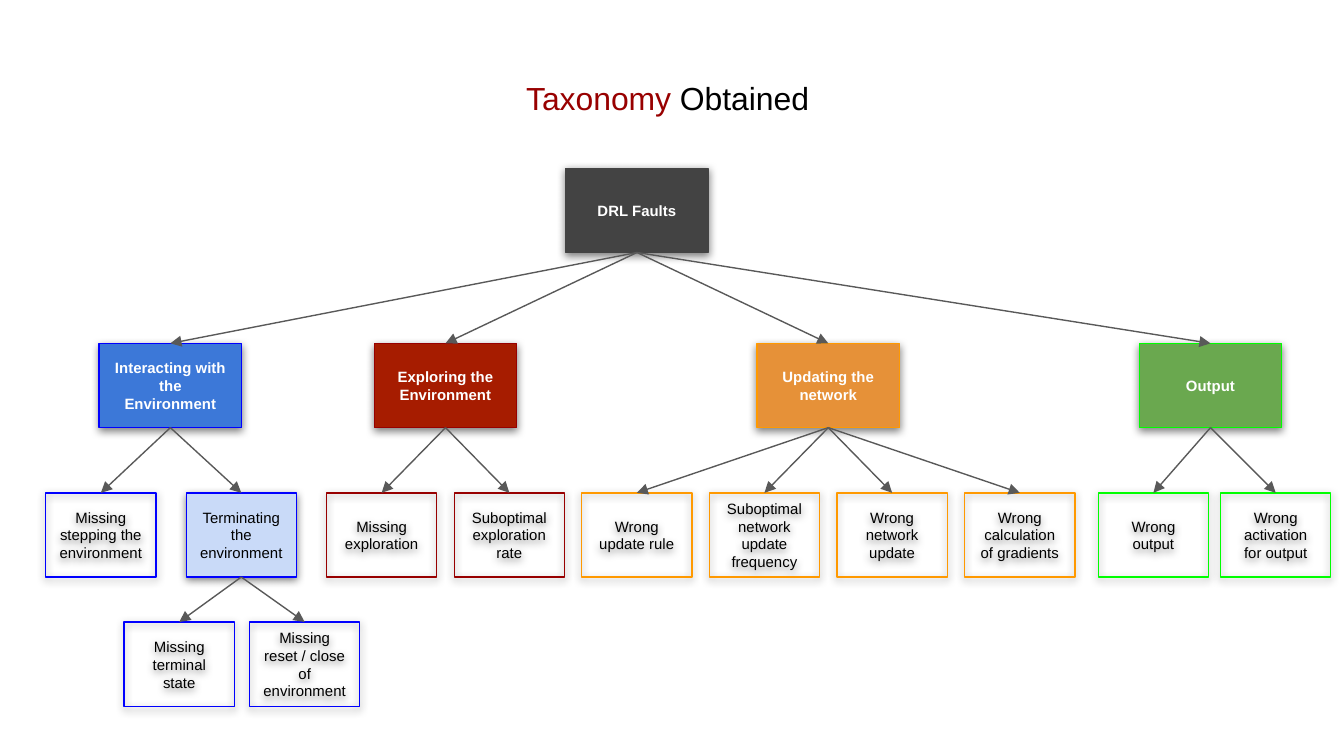
from collections import namedtuple

from lxml.etree import SubElement
from pptx import Presentation
from pptx.dml.color import RGBColor
from pptx.enum.shapes import MSO_CONNECTOR, MSO_SHAPE
from pptx.enum.text import MSO_ANCHOR, PP_ALIGN
from pptx.oxml.ns import qn
from pptx.util import Inches, Pt

SLIDE_WIDTH = Inches(10)
SLIDE_HEIGHT = SLIDE_WIDTH * 9 // 16
COLUMN, ROW = SLIDE_WIDTH / 100, SLIDE_HEIGHT / 56.25
FONT = "Arial"
COLOURS = {
    "black": "000000", "white": "FFFFFF", "root": "434343", "arrow": "595959",
    "interacting": "3C78D8", "exploring": "A61C00", "updating": "E69138",
    "output": "6AA84F", "terminating": "C9DAF8", "blue": "0000FF",
    "red": "980000", "orange": "FF9900", "green": "00FF00",
}

Box = namedtuple("Box", "left top width height")
Branch = namedtuple("Branch", "label fill border centre pitch faults shift")

CATEGORY_WIDTH, FAULT_WIDTH, BOX_HEIGHT = 10.6, 8.2, 6.27
ROOT_TOP, CATEGORY_TOP, FAULT_TOP, DETAIL_TOP = 12.52, 25.55, 36.67, 46.28
TERMINATING = "Terminating the environment"
BRANCHES = [
    Branch("Interacting with the Environment", "interacting", "blue", 12.68, 10.45,
           ["Missing stepping the environment", TERMINATING], 0.05),
    Branch("Exploring the Environment", "exploring", "red", 33.15, 9.5,
           ["Missing exploration", "Suboptimal exploration rate"], 0),
    Branch("Updating the network", "updating", "orange", 61.63, 9.5,
           ["Wrong update rule", "Suboptimal network update frequency",
            "Wrong network update", "Wrong calculation of gradients"], 0),
    Branch("Output", "output", "green", 90.07, 9.1,
           ["Wrong output", "Wrong activation for output"], 0.3),
]
DETAILS = ["Missing terminal state", "Missing reset / close of environment"]
DETAIL_PITCH = 9.33


def colour(name):
    """Return the named colour."""
    return RGBColor.from_string(COLOURS[name])


def extent(box):
    """Turn a box in columns and rows into slide lengths."""
    return (round(box.left * COLUMN), round(box.top * ROW),
            round(box.width * COLUMN), round(box.height * ROW))


def centred_box(centre, top, width):
    """Return a tree box centred on a column."""
    return Box(centre - width / 2, top, width, BOX_HEIGHT)


def set_margins(frame):
    """Wrap the text and give it equal insets."""
    frame.word_wrap = True
    frame.margin_left = frame.margin_right = Inches(0.1)
    frame.margin_top = frame.margin_bottom = Inches(0.1)


def add_shadow(node):
    """Give a node a soft shadow straight below it."""
    node.shadow.inherit = False
    effects = node._element.spPr.find(qn("a:effectLst"))
    shadow = SubElement(effects, qn("a:outerShdw"), blurRad="57150",
                        dist="19050", dir="5400000", algn="bl", rotWithShape="0")
    tint = SubElement(shadow, qn("a:srgbClr"), val=COLOURS["black"])
    SubElement(tint, qn("a:alpha"), val="50000")


def place_title(slide, box):
    """Write the two-colour title in its box."""
    frame = slide.shapes.add_textbox(*extent(box)).text_frame
    set_margins(frame)
    heading = frame.paragraphs[0]
    heading.alignment = PP_ALIGN.CENTER
    heading.font.name, heading.font.size = FONT, Pt(17.1)
    for words, tone in (("Taxonomy ", "red"), ("Obtained ", "black")):
        run = heading.add_run()
        run.text = words
        run.font.color.rgb = colour(tone)


def place_node(slide, box, label, border, fill=None, ink="black", bold=False):
    """Draw one labelled box of the tree."""
    node = slide.shapes.add_shape(MSO_SHAPE.RECTANGLE, *extent(box))
    if fill:
        node.fill.solid()
        node.fill.fore_color.rgb = colour(fill)
    else:
        node.fill.background()
    node.line.color.rgb = colour(border)
    node.line.width = Pt(0.75)
    add_shadow(node)
    frame = node.text_frame
    set_margins(frame)
    frame.vertical_anchor = MSO_ANCHOR.MIDDLE
    caption = frame.paragraphs[0]
    caption.text = label
    caption.alignment = PP_ALIGN.CENTER
    caption.font.name, caption.font.size = FONT, Pt(8)
    caption.font.bold = bold
    caption.font.color.rgb = colour(ink)
    return node


def link(slide, parent, child):
    """Draw an arrow from the foot of a parent to the head of a child."""
    arrow = slide.shapes.add_connector(MSO_CONNECTOR.STRAIGHT, 0, 0, 0, 0)
    arrow.begin_connect(parent, 2)
    arrow.end_connect(child, 0)
    arrow.line.color.rgb = colour("arrow")
    arrow.line.width = Pt(0.75)
    SubElement(arrow.line._get_or_add_ln(), qn("a:tailEnd"), type="triangle")
    SubElement(arrow._element.spPr, qn("a:effectLst"))


def place_faults(slide, parent, centre, top, pitch, labels, border):
    """Spread a row of faults evenly about a centre and link them to the parent."""
    first = centre - pitch * (len(labels) - 1) / 2
    for index, label in enumerate(labels):
        middle = first + index * pitch
        fill = "terminating" if label == TERMINATING else None
        fault = place_node(slide, centred_box(middle, top, FAULT_WIDTH), label,
                           border, fill)
        link(slide, parent, fault)
        if label == TERMINATING:
            place_faults(slide, fault, middle + 0.05, DETAIL_TOP, DETAIL_PITCH,
                         DETAILS, border)


def place_branch(slide, root, box, branch):
    """Draw a fault category in its box, with its faults below."""
    category = place_node(slide, box, branch.label, branch.border, branch.fill,
                          "white", True)
    link(slide, root, category)
    place_faults(slide, category, box.left + box.width / 2 + branch.shift,
                 FAULT_TOP, branch.pitch, branch.faults, branch.border)


def main():
    """Build the taxonomy slide."""
    deck = Presentation()
    deck.slide_width, deck.slide_height = SLIDE_WIDTH, SLIDE_HEIGHT
    slide = deck.slides.add_slide(deck.slide_layouts[6])
    place_title(slide, Box(3.4, 4.86, 93.2, 6.27))
    root = place_node(slide, centred_box(47.4, ROOT_TOP, CATEGORY_WIDTH),
                      "DRL Faults", "root", "root", "white", True)
    for branch in BRANCHES:
        box = centred_box(branch.centre, CATEGORY_TOP, CATEGORY_WIDTH)
        place_branch(slide, root, box, branch)
    deck.save("out.pptx")


if __name__ == "__main__":
    main()
